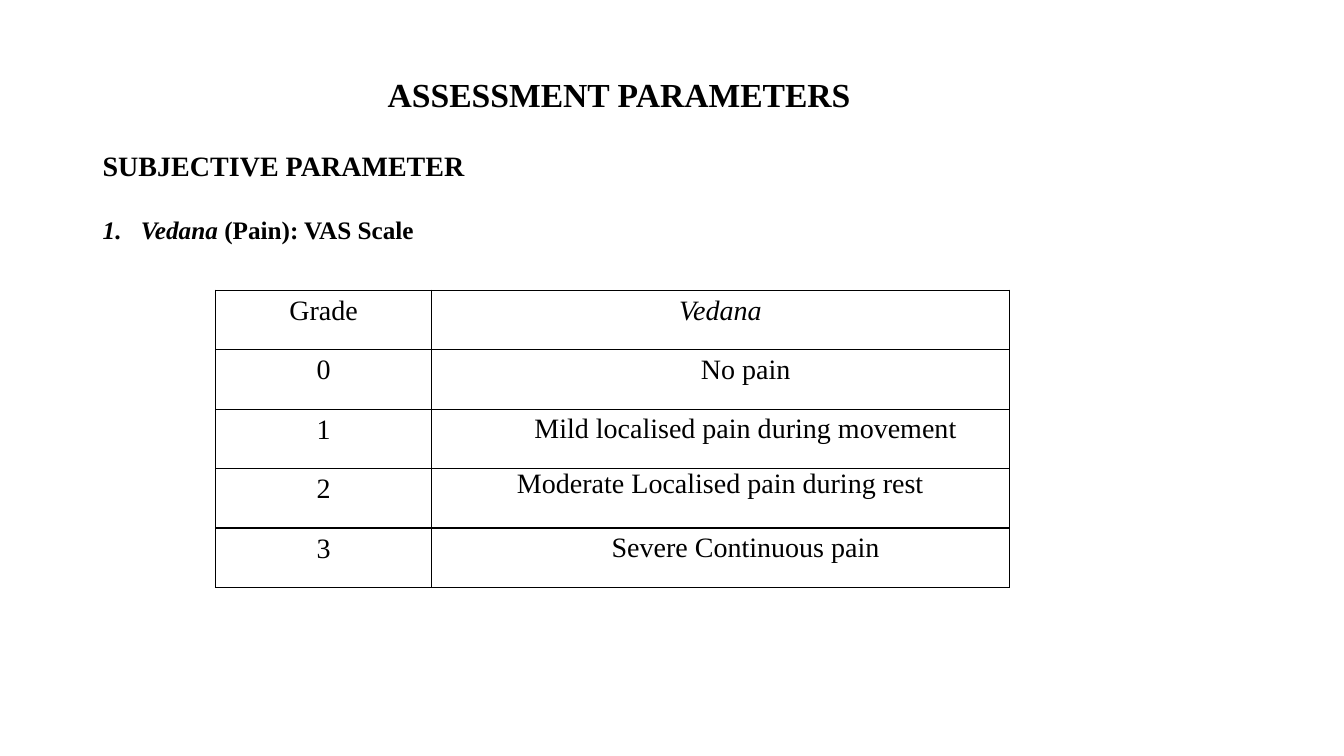
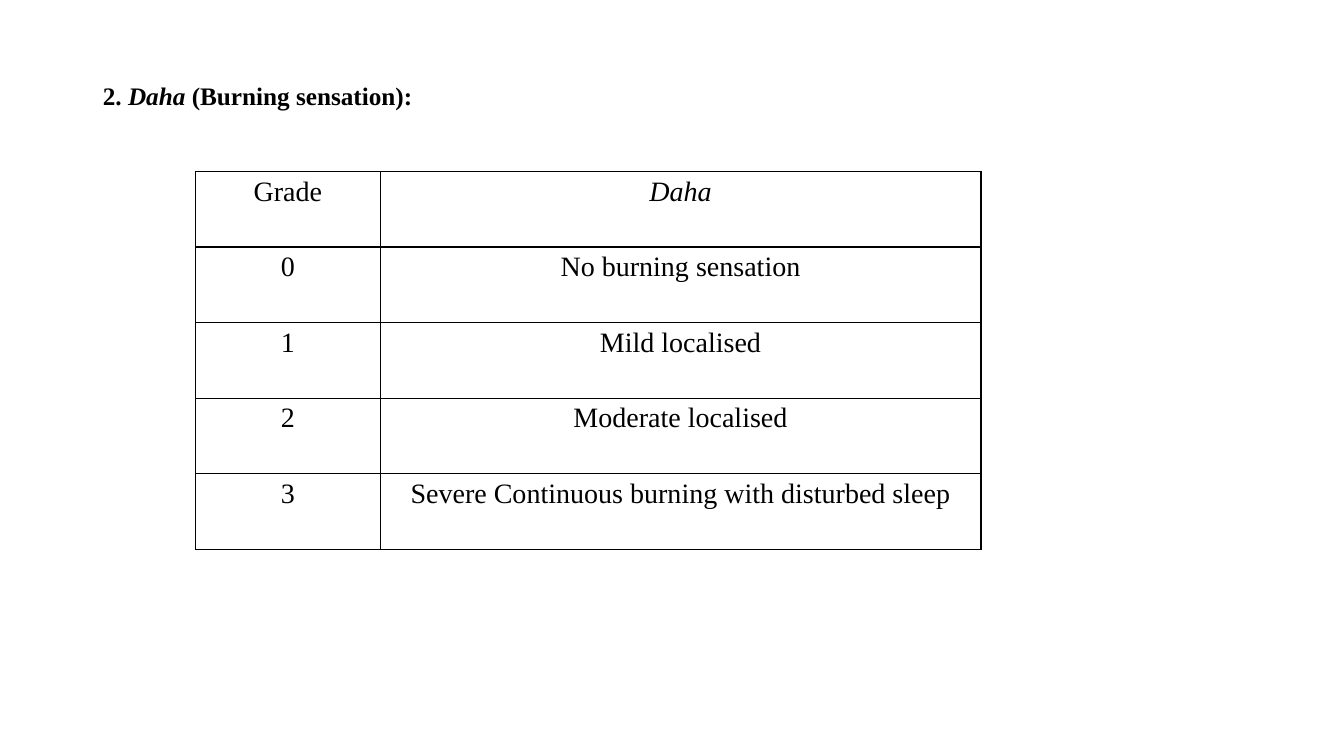
import dataclasses

import lxml.etree
import pptx
import pptx.dml.color
import pptx.enum.text
import pptx.oxml.ns
import pptx.util

Inches = pptx.util.Inches
Pt = pptx.util.Pt
Align = pptx.enum.text.PP_ALIGN
Anchor = pptx.enum.text.MSO_ANCHOR
qn = pptx.oxml.ns.qn


@dataclasses.dataclass(frozen=True)
class Theme:
    font: str = "Times New Roman"
    ink: str = "000000"
    title_size: int = 24
    section_size: int = 20
    item_size: int = 18
    table_size: int = 20
    border_width: int = 1
    line_spacing: float = 1.15


@dataclasses.dataclass(frozen=True)
class CellStyle:
    side_inset: float = 0.07
    top_inset: float = 0
    indent: float = 0
    line_spacing: float = 1
    space_after: int = 0


THEME = Theme()
PLAIN = CellStyle(side_inset=0.1, top_inset=0.05)
TIGHT = CellStyle()
SPACED = CellStyle(line_spacing=THEME.line_spacing, space_after=10)
INDENTED = dataclasses.replace(SPACED, indent=0.5)


def write_runs(paragraph, parts, size, bold):
    for text, italic in parts:
        run = paragraph.add_run()
        run.text = text
        font = run.font
        font.name = THEME.font
        font.size = Pt(size)
        font.bold = bold
        font.italic = italic
        font.color.rgb = pptx.dml.color.RGBColor.from_string(THEME.ink)


def place_title(slide, box, parts, size, align, line_spacing):
    title = slide.shapes.title
    title.left, title.top, title.width, title.height = map(Inches, box)
    frame = title.text_frame
    frame.word_wrap = True
    frame.auto_size = pptx.enum.text.MSO_AUTO_SIZE.NONE
    frame.vertical_anchor = Anchor.TOP
    paragraph = frame.paragraphs[0]
    paragraph.alignment = align
    paragraph.line_spacing = line_spacing
    write_runs(paragraph, parts, size, True)


def number_paragraph(paragraph, indent):
    properties = paragraph._p.get_or_add_pPr()
    properties.set("marL", str(Inches(indent)))
    properties.set("indent", str(-Inches(indent)))
    lxml.etree.SubElement(properties, qn("a:buFont"), typeface="+mj-lt")
    lxml.etree.SubElement(properties, qn("a:buAutoNum"), type="arabicPeriod")


def place_section(slide, box, heading, item_parts):
    frame = slide.shapes.add_textbox(*map(Inches, box)).text_frame
    frame.word_wrap = True
    section = frame.paragraphs[0]
    item = frame.add_paragraph()
    for paragraph in (section, item):
        paragraph.line_spacing = THEME.line_spacing
    section.space_after = Pt(20)
    write_runs(section, [(heading, False)], THEME.section_size, True)
    number_paragraph(item, 0.38)
    write_runs(item, item_parts, THEME.item_size, True)


def draw_borders(cell):
    properties = cell._tc.get_or_add_tcPr()
    for position, side in enumerate(("lnL", "lnR", "lnT", "lnB")):
        line = lxml.etree.Element(qn(f"a:{side}"), w=str(Pt(THEME.border_width)))
        fill = lxml.etree.SubElement(line, qn("a:solidFill"))
        lxml.etree.SubElement(fill, qn("a:srgbClr"), val=THEME.ink)
        properties.insert(position, line)


def fill_cell(cell, text, style, italic):
    cell.fill.background()
    draw_borders(cell)
    cell.margin_left = cell.margin_right = Inches(style.side_inset)
    cell.margin_top = cell.margin_bottom = Inches(style.top_inset)
    cell.vertical_anchor = Anchor.TOP
    paragraph = cell.text_frame.paragraphs[0]
    paragraph.alignment = Align.CENTER
    paragraph.line_spacing = style.line_spacing
    paragraph.space_after = Pt(style.space_after)
    if style.indent:
        paragraph._p.get_or_add_pPr().set("marL", str(Inches(style.indent)))
    write_runs(paragraph, [(text, italic)], THEME.table_size, False)


def place_grades(slide, left, top, widths, row_height, symptom, grades,
                 header_style, grade_style):
    row_count = len(grades) + 1
    table = slide.shapes.add_table(
        row_count, len(widths), Inches(left), Inches(top),
        Inches(sum(widths)), Inches(row_height * row_count)).table
    table.first_row = False
    table.horz_banding = False
    for column, width in zip(table.columns, widths):
        column.width = Inches(width)
    for row in table.rows:
        row.height = Inches(row_height)
    fill_cell(table.cell(0, 0), "Grade", grade_style, False)
    fill_cell(table.cell(0, 1), symptom, header_style, True)
    for grade, (description, style) in enumerate(grades):
        fill_cell(table.cell(grade + 1, 0), str(grade), grade_style, False)
        fill_cell(table.cell(grade + 1, 1), description, style, False)


def build_pain_slide(slide):
    place_title(slide, (0.92, 0.62, 10.44, 0.6),
                [("ASSESSMENT PARAMETERS", False)],
                THEME.title_size, Align.CENTER, THEME.line_spacing)
    place_section(slide, (0.92, 1.37, 11.5, 1.2), "SUBJECTIVE PARAMETER",
                  [("Vedana", True), (" (Pain): VAS Scale", False)])
    grades = [
        ("No pain", INDENTED),
        ("Mild localised pain during movement", INDENTED),
        ("Moderate Localised pain during rest", TIGHT),
        ("Severe Continuous pain", INDENTED),
    ]
    place_grades(slide, 2.14, 2.88, (2.14, 5.73), 0.59, "Vedana", grades,
                 PLAIN, PLAIN)


def build_burning_slide(slide):
    place_title(slide, (0.92, 0.78, 11.5, 0.5),
                [("2. ", False), ("Daha", True), (" (Burning sensation):", False)],
                THEME.item_size, Align.LEFT, 0.9)
    descriptions = (
        "No burning sensation",
        "Mild localised",
        "Moderate localised",
        "Severe Continuous burning with disturbed sleep",
    )
    grades = [(description, SPACED) for description in descriptions]
    place_grades(slide, 1.94, 1.7, (1.83, 5.96), 0.75, "Daha", grades,
                 SPACED, SPACED)


def main():
    deck = pptx.Presentation()
    deck.slide_width = Inches(13.33)
    deck.slide_height = Inches(7.5)
    title_only = deck.slide_layouts[5]
    for build in (build_pain_slide, build_burning_slide):
        build(deck.slides.add_slide(title_only))
    deck.save("out.pptx")


if __name__ == "__main__":
    main()
